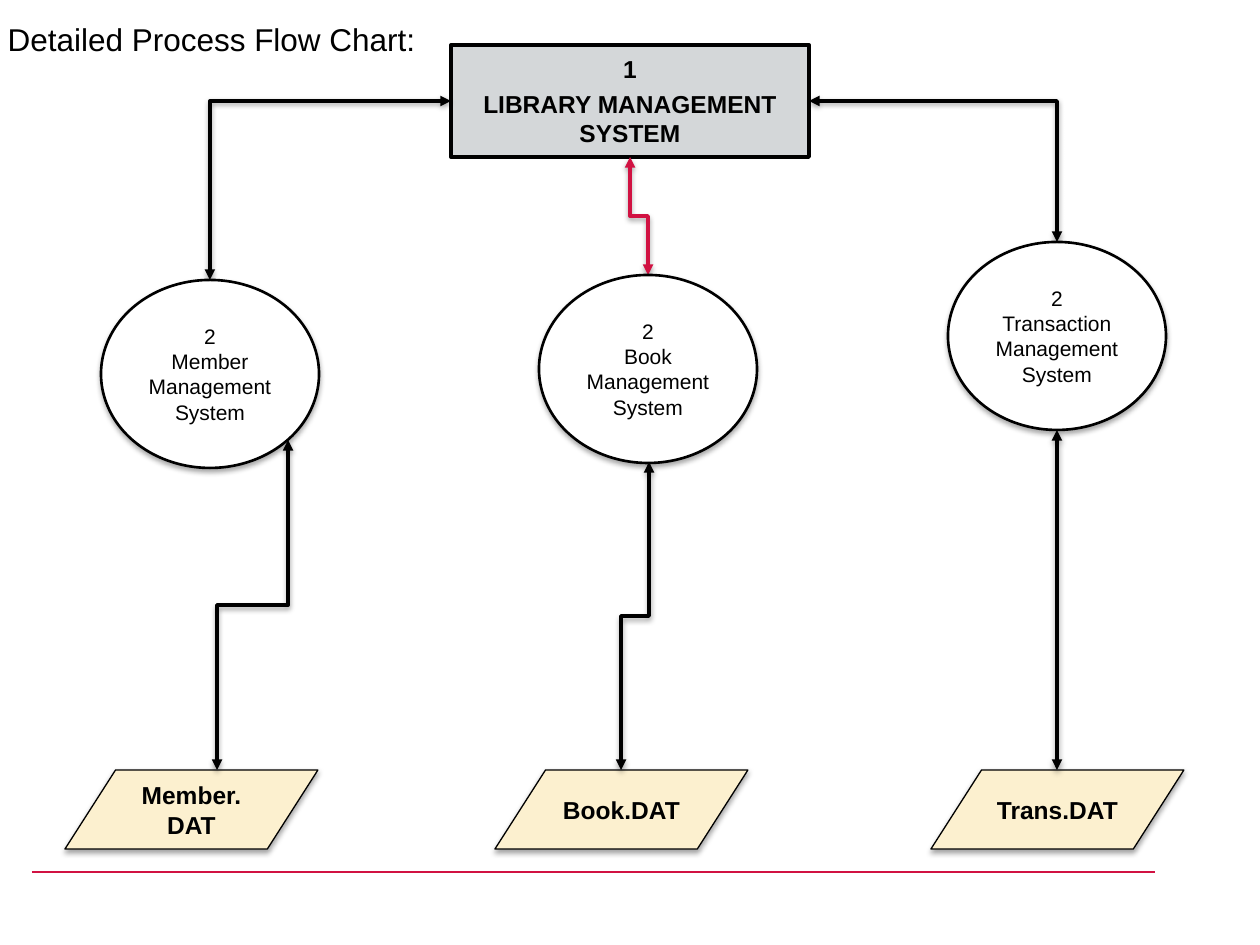
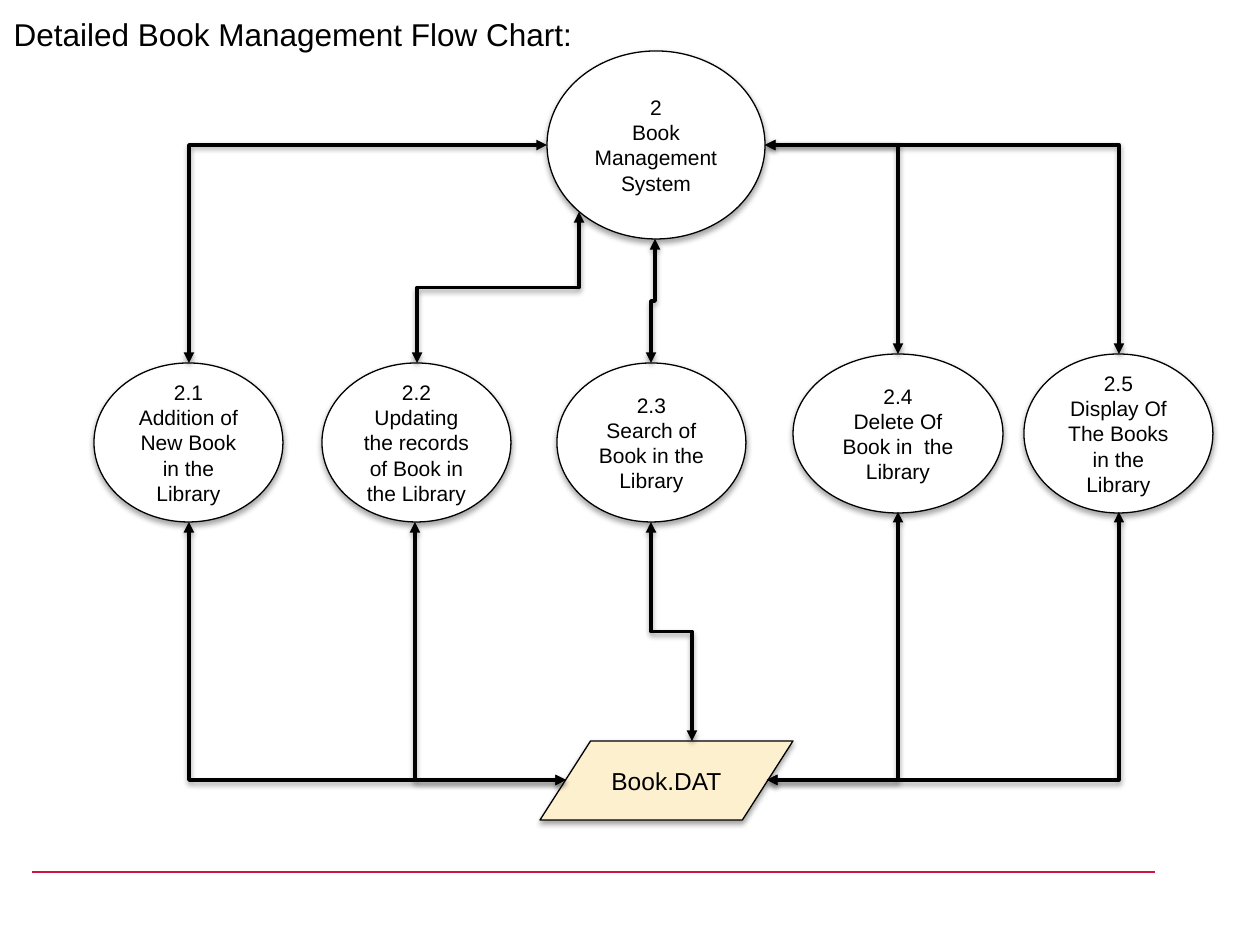
import pptx
import pptx.util
import pptx.oxml
import pptx.oxml.ns
import pptx.dml.color
import pptx.enum.shapes
import pptx.enum.text

PX = 7257  # EMU in one px, 126 px to the inch
RGB = pptx.dml.color.RGBColor
BLACK = RGB(0x00, 0x00, 0x00)
WHITE = RGB(0xFF, 0xFF, 0xFF)
GREY = RGB(0xD4, 0xD7, 0xD9)
CREAM = RGB(0xFC, 0xF0, 0xCF)
CRIMSON = RGB(0xD1, 0x12, 0x42)
FONT = "Arial"

SHAPE = pptx.enum.shapes.MSO_SHAPE
LINK = pptx.enum.shapes.MSO_CONNECTOR
ALIGN = pptx.enum.text.PP_ALIGN
MIDDLE = pptx.enum.text.MSO_ANCHOR.MIDDLE
NS = pptx.oxml.ns.nsdecls("a")
SHADOW = (
    "<a:effectLst %s><a:outerShdw blurRad='40000' dist='%d' dir='5400000' rotWithShape='0'>"
    "<a:srgbClr val='000000'><a:alpha val='%d'/></a:srgbClr></a:outerShdw></a:effectLst>"
)


def add_node(s, kind, box, fill, line_width, lines, size, bold=False, shadow=True, gap=0):
    sp = s.shapes.add_shape(kind, *[v * PX for v in box])
    sp.fill.solid()
    sp.fill.fore_color.rgb = fill
    sp.line.color.rgb = BLACK
    sp.line.width = pptx.util.Pt(line_width)
    sp.shadow.inherit = False
    if shadow:
        sp_pr = sp._element.spPr
        sp_pr.remove(sp_pr.find(pptx.oxml.ns.qn("a:effectLst")))
        sp_pr.append(pptx.oxml.parse_xml(SHADOW % (NS, 23000, 35000)))
    tf = sp.text_frame
    tf.word_wrap = True
    tf.vertical_anchor = MIDDLE
    for i, line in enumerate(lines):
        p = tf.paragraphs[0] if i == 0 else tf.add_paragraph()
        p.alignment = ALIGN.CENTER
        p.space_before = pptx.util.Pt(gap if i else 0)
        r = p.add_run()
        r.text = line
        r.font.name = FONT
        r.font.size = pptx.util.Pt(size)
        r.font.bold = bold
        r.font.color.rgb = BLACK


def add_arrow(s, route, x1, y1, x2, y2, color=BLACK):
    """corner: across, then down or up; step: down, across, down; straight."""
    rotation = 0
    if route == "step":
        # An elbow starts sideways, so lay it flat about its centre and turn it
        rotation = 270 if x2 > x1 else 90
        cx, cy = (x1 + x2) / 2, (y1 + y2) / 2
        half_w, half_h = (y2 - y1) / 2, abs(x2 - x1) / 2
        if rotation == 270:
            half_w = -half_w
        x1, y1, x2, y2 = cx - half_w, cy - half_h, cx + half_w, cy + half_h
    kind = LINK.STRAIGHT if route == "straight" else LINK.ELBOW
    c = s.shapes.add_connector(kind, *[int(v * PX) for v in (x1, y1, x2, y2)])
    c.line.color.rgb = color
    c.line.width = pptx.util.Pt(2)
    sp_pr = c._element.spPr
    if rotation:
        sp_pr.find(pptx.oxml.ns.qn("a:xfrm")).set("rot", str(rotation * 60000))
    if route == "corner":
        sp_pr.find(pptx.oxml.ns.qn("a:prstGeom")).set("prst", "bentConnector2")
    for end in ("headEnd", "tailEnd"):
        c.line._get_or_add_ln().append(pptx.oxml.parse_xml("<a:%s %s type='triangle'/>" % (end, NS)))
    sp_pr.append(pptx.oxml.parse_xml(SHADOW % (NS, 20000, 38000)))


prs = pptx.Presentation()
prs.slide_width = pptx.util.Inches(10)
prs.slide_height = pptx.util.Inches(7.5)

# Titles and footer rules
slides = []
for title, box in (
    ("Detailed Process Flow Chart:", (-5, 4, 919, 69)),
    ("Detailed Book Management Flow Chart:", (1, 9, 590, 50)),
):
    s = prs.slides.add_slide(prs.slide_layouts[5])
    sp = s.shapes.title
    sp.left, sp.top, sp.width, sp.height = [v * PX for v in box]
    tf = sp.text_frame
    tf.word_wrap = True
    tf.auto_size = pptx.enum.text.MSO_AUTO_SIZE.NONE
    tf.vertical_anchor = MIDDLE
    p = tf.paragraphs[0]
    p.alignment = ALIGN.LEFT
    r = p.add_run()
    r.text = title
    r.font.name = FONT
    r.font.size = pptx.util.Pt(18)
    r.font.color.rgb = BLACK
    rule = s.shapes.add_connector(LINK.STRAIGHT, 32 * PX, 872 * PX, 1155 * PX, 872 * PX)
    rule.line.color.rgb = CRIMSON
    rule.line.width = pptx.util.Pt(0.75)
    rule._element.spPr.append(pptx.oxml.parse_xml("<a:effectLst %s/>" % NS))
    slides.append(s)
process, book = slides

# Process chart: system, its three subsystems and their files
add_node(process, SHAPE.FLOWCHART_PROCESS, (451, 45, 358, 112), GREY, 2.25,
         ["1", "LIBRARY MANAGEMENT SYSTEM"], 14, bold=True, shadow=False, gap=3)
add_arrow(process, "corner", 451, 101, 210, 280)
add_arrow(process, "step", 630, 157, 648, 275, CRIMSON)
add_arrow(process, "corner", 809, 101, 1057, 242)
for x, y, lines in (
    (101, 280, ["2", "Member", "Management System"]),
    (539, 275, ["2", "Book Management System"]),
    (948, 242, ["2", "Transaction", "Management System"]),
):
    add_node(process, SHAPE.OVAL, (x, y, 218, 188), WHITE, 1.5, lines, 12)
for x, name in ((65, "Member. DAT"), (495, "Book.DAT"), (931, "Trans.DAT")):
    add_node(process, SHAPE.FLOWCHART_DATA, (x, 770, 253, 79), CREAM, 0.75, [name], 14, bold=True)
add_arrow(process, "step", 288, 440, 217, 770)
add_arrow(process, "step", 649, 462, 621, 770)
add_arrow(process, "straight", 1057, 430, 1057, 770)

# Book chart: subsystem, its five tasks and the file
add_node(book, SHAPE.FLOWCHART_DATA, (540, 741, 253, 79), CREAM, 0.75, ["Book.DAT"], 14)
add_node(book, SHAPE.OVAL, (547, 51, 218, 188), WHITE, 0.75,
         ["2", "Book Management", "System"], 12)
for number, (x, y, width, task) in enumerate((
    (94, 363, 189, "Addition of New Book in the Library"),
    (322, 363, 189, "Updating the records of Book in the Library"),
    (557, 363, 189, "Search of Book in the Library"),
    (793, 354, 210, "Delete Of Book in  the Library"),
    (1024, 354, 189, "Display Of The Books in the Library"),
), start=1):
    add_node(book, SHAPE.OVAL, (x, y, width, 159), WHITE, 0.75, ["2.%d" % number, task], 12)

# Arrows from the subsystem to the tasks
for side, x, top in ((547, 189, 363), (765, 898, 354), (765, 1119, 354)):
    add_arrow(book, "corner", side, 145, x, top)
add_arrow(book, "step", 579, 212, 417, 363)
add_arrow(book, "step", 655, 239, 651, 363)

# Arrows from the file to the tasks
for side, x, bottom in ((566, 189, 522), (566, 415, 522), (767, 898, 512), (767, 1119, 512)):
    add_arrow(book, "corner", side, 780, x, bottom)
add_arrow(book, "step", 651, 522, 692, 741)

prs.save("out.pptx")
